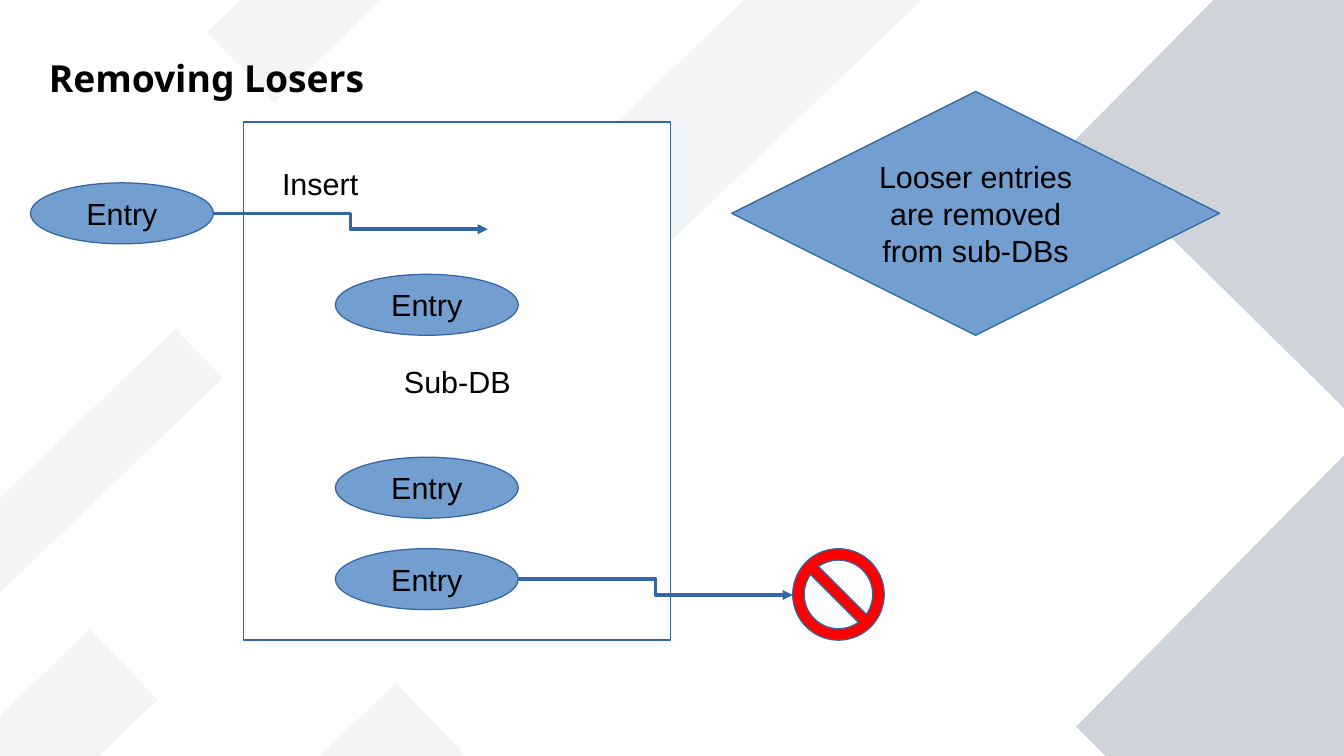
"""Build the slide on removing losing entries from a sub-DB."""
import pptx
import pptx.util
import pptx.dml.color
import pptx.enum.shapes
import pptx.enum.text
import pptx.oxml
import pptx.oxml.ns
from dataclasses import dataclass
from lxml import etree

Inches, Pt = pptx.util.Inches, pptx.util.Pt
KIND = pptx.enum.shapes.MSO_SHAPE
ALIGN = pptx.enum.text.PP_ALIGN
ANCHOR = pptx.enum.text.MSO_ANCHOR


@dataclass(frozen=True)
class Theme:
    """Colours, fonts and type sizes."""
    ink: str = "000000"
    paper: str = "FFFFFF"
    blue: str = "729FCF"
    edge: str = "3465A4"
    stop: str = "FF0000"
    block: str = "CED4DA"
    band: str = "8D99AE"
    faint: int = 10
    head: str = "Noto Sans"
    body: str = "Arial"
    big: int = 22
    size: int = 18


LOOK = Theme()
SIZE = (11.02, 6.2)
TITLE = "Removing Losers"
TITLE_BOX = (0.3, 0.4, 3.9, 0.52)
BLOCKS = [(9.46, -0.44, 3.17, 3.17), (9.48, 4.36, 3.17, 3.17)]
BANDS = [
    (1.09, 6.47, 2.83, 0.8),
    (-1.42, 6.03, 2.83, 0.8),
    (4.03, 0.37, 3.78, 1.01),
    (1.58, -0.83, 2.83, 0.8),
    (-0.8, 3.6, 2.83, 0.56),
]
BLOCK_TURN, BAND_TURN = 314.6, 316.1
STORE = ("Sub-DB", (2, 1, 3.5, 4.25))
NOTE = ("Looser entries\nare removed\nfrom sub-DBs", (6, 0.75, 4, 2))
ENTRY, ENTRY_SIZE = "Entry", (1.5, 0.5)
NEW, LOSER = (0.25, 1.5), (2.75, 4.5)
KEPT = [(2.75, 3.75), (2.75, 2.25)]
BAN = (6.5, 4.5, 0.75, 0.75)
INSERT = ("Insert", (1.5, 1.25, 2.25, 0.5))
RUN, DROP = 2.25, 0.13


def rgb(code):
    """Turn a hex code into a colour."""
    return pptx.dml.color.RGBColor.from_string(code)


def style(frame, font, size, bold=False):
    """Format every run in a text frame."""
    for line in frame.paragraphs:
        for run in line.runs:
            run.font.name, run.font.size = font, Pt(size)
            run.font.bold = bold
            run.font.color.rgb = rgb(LOOK.ink)


def label(shape, text):
    """Write centred text that does not wrap."""
    frame = shape.text_frame
    frame.text = text
    frame.word_wrap = False
    frame.vertical_anchor = ANCHOR.MIDDLE
    for line in frame.paragraphs:
        line.alignment = ALIGN.CENTER
    style(frame, LOOK.body, LOOK.size)


def draw(slide, kind, box, fill, text="", edge=True):
    """Add a filled shape, with a hairline edge if wanted."""
    shape = slide.shapes.add_shape(kind, *map(Inches, box))
    shape.shadow.inherit = False
    shape.fill.solid()
    shape.fill.fore_color.rgb = rgb(fill)
    if edge:
        shape.line.color.rgb = rgb(LOOK.edge)
        shape.line.width = Pt(0)
    else:
        shape.line.fill.background()
    if text:
        label(shape, text)
    return shape


def decor(slide):
    """Add the tilted blocks and faint bands."""
    for box in BLOCKS:
        draw(slide, KIND.RECTANGLE, box, LOOK.block, edge=False).rotation = BLOCK_TURN
    for box in BANDS:
        band = draw(slide, KIND.RECTANGLE, box, LOOK.band, edge=False)
        band.rotation = BAND_TURN
        tint = band.fill._xPr.find(".//" + pptx.oxml.ns.qn("a:srgbClr"))
        alpha = etree.SubElement(tint, pptx.oxml.ns.qn("a:alpha"))
        alpha.set("val", str(LOOK.faint * 1000))


def head(slide):
    """Place the title in front of the backdrop."""
    title = slide.shapes.title
    slide.shapes._spTree.append(title._element)
    title.left, title.top, title.width, title.height = map(Inches, TITLE_BOX)
    frame = title.text_frame
    frame.text = TITLE
    frame.word_wrap = True
    frame.vertical_anchor = ANCHOR.TOP
    frame.paragraphs[0].alignment = ALIGN.LEFT
    style(frame, LOOK.head, LOOK.big, True)


def entry(slide, spot):
    """Add one entry."""
    draw(slide, KIND.OVAL, spot + ENTRY_SIZE, LOOK.blue, ENTRY)


def arrow(slide, spot):
    """Add a stepped arrow from the right end of an entry."""
    x, y = spot[0] + ENTRY_SIZE[0], spot[1] + ENTRY_SIZE[1] / 2
    ends = map(Inches, (x, y, x + RUN, y + DROP))
    link = slide.shapes.add_connector(pptx.enum.shapes.MSO_CONNECTOR.ELBOW, *ends)
    link.line.color.rgb = rgb(LOOK.edge)
    link.line.width = Pt(0)
    tip = etree.SubElement(link.line._get_or_add_ln(), pptx.oxml.ns.qn("a:tailEnd"))
    tip.set("type", "triangle")
    etree.SubElement(link._element.spPr, pptx.oxml.ns.qn("a:effectLst"))


def main():
    """Build and save the slide."""
    deck = pptx.Presentation()
    deck.slide_width, deck.slide_height = map(Inches, SIZE)
    slide = deck.slides.add_slide(deck.slide_layouts[5])
    slide.background.fill.solid()
    slide.background.fill.fore_color.rgb = rgb(LOOK.paper)
    decor(slide)
    head(slide)
    draw(slide, KIND.RECTANGLE, STORE[1], LOOK.paper, STORE[0])
    draw(slide, KIND.DIAMOND, NOTE[1], LOOK.blue, NOTE[0])
    for spot in [NEW, *KEPT, LOSER]:
        entry(slide, spot)
    arrow(slide, LOSER)
    ban = draw(slide, KIND.NO_SYMBOL, BAN, LOOK.stop)
    ban.adjustments[0] = 0.125
    arrow(slide, NEW)
    label(slide.shapes.add_textbox(*map(Inches, INSERT[1])), INSERT[0])
    deck.save("out.pptx")


if __name__ == "__main__":
    main()
